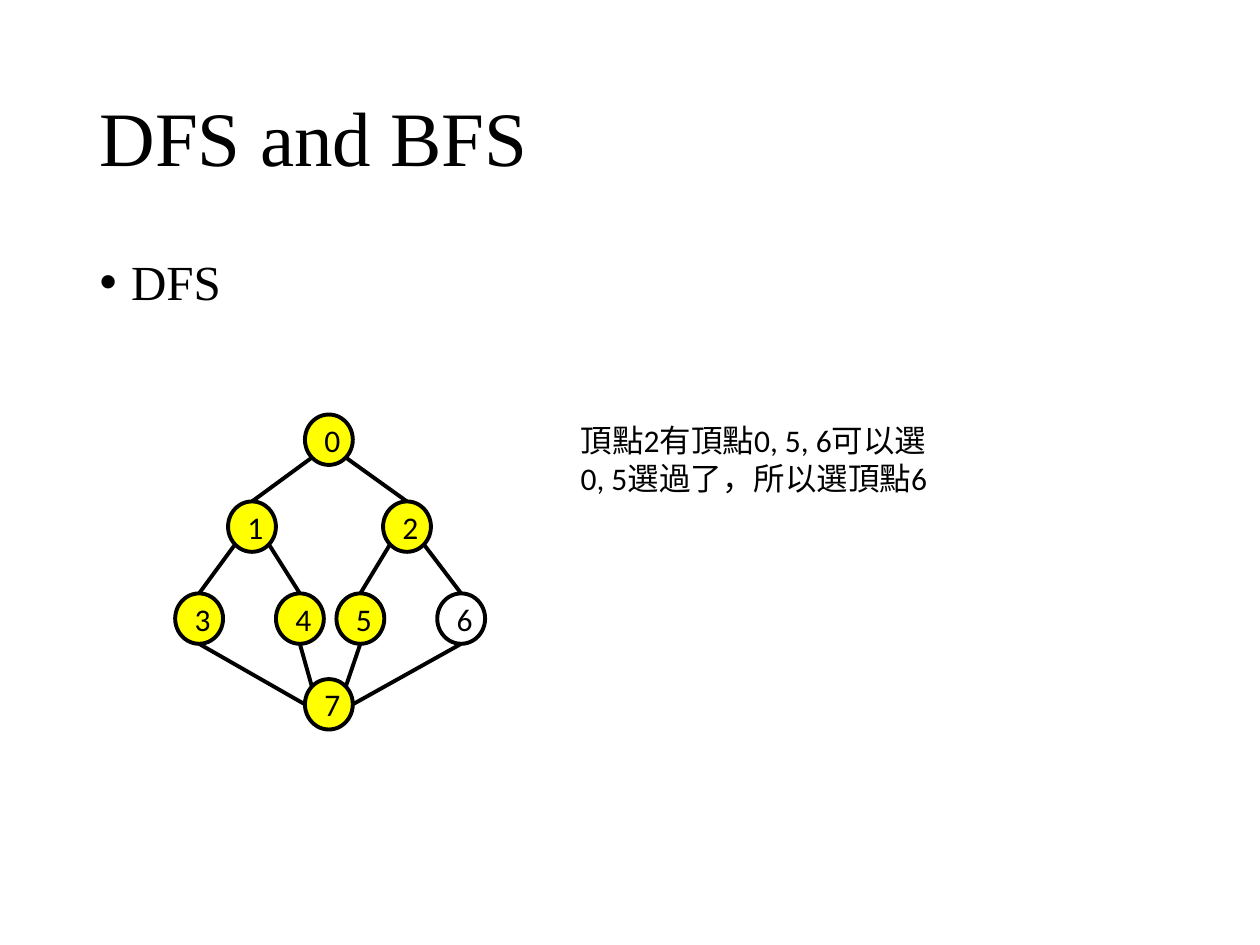
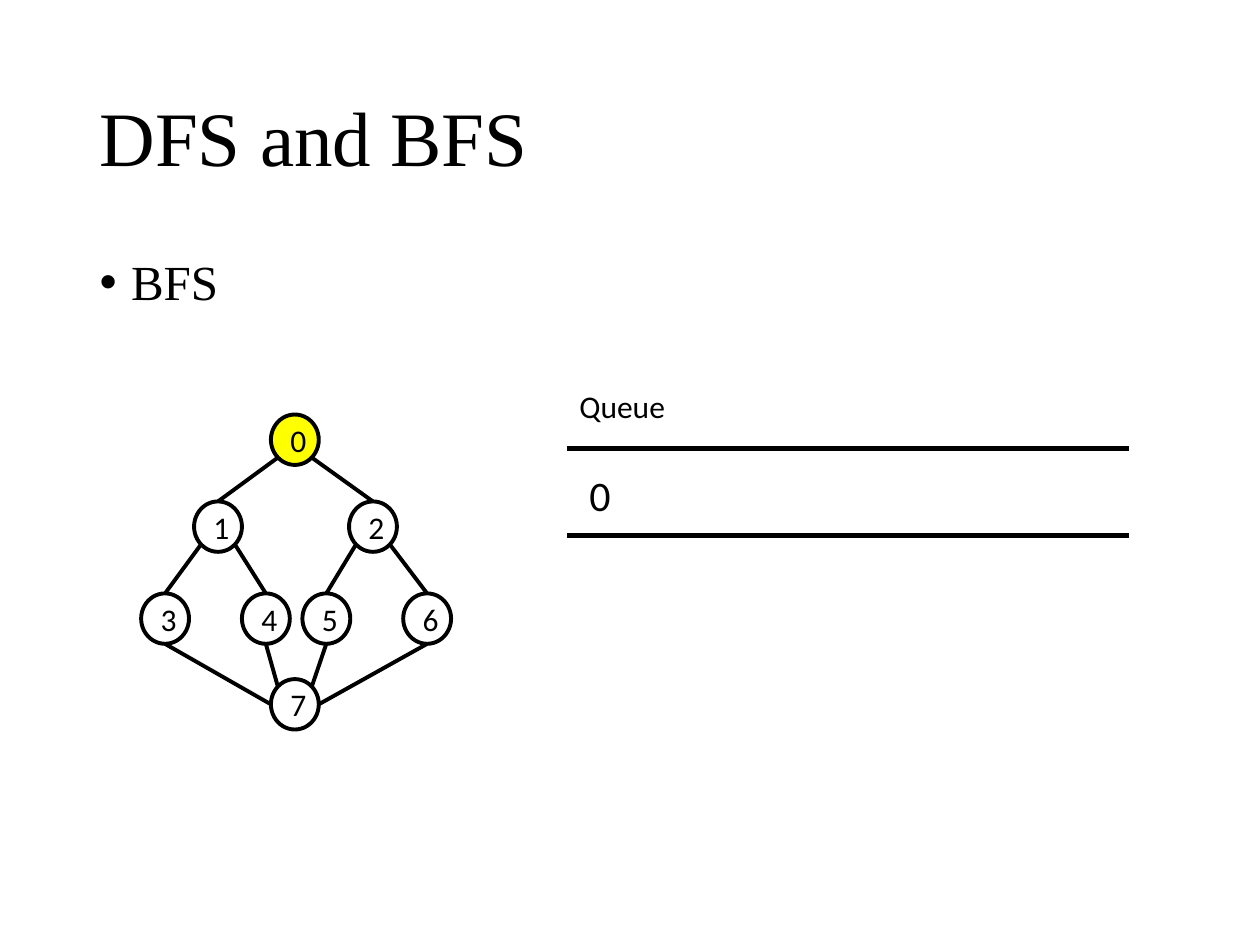
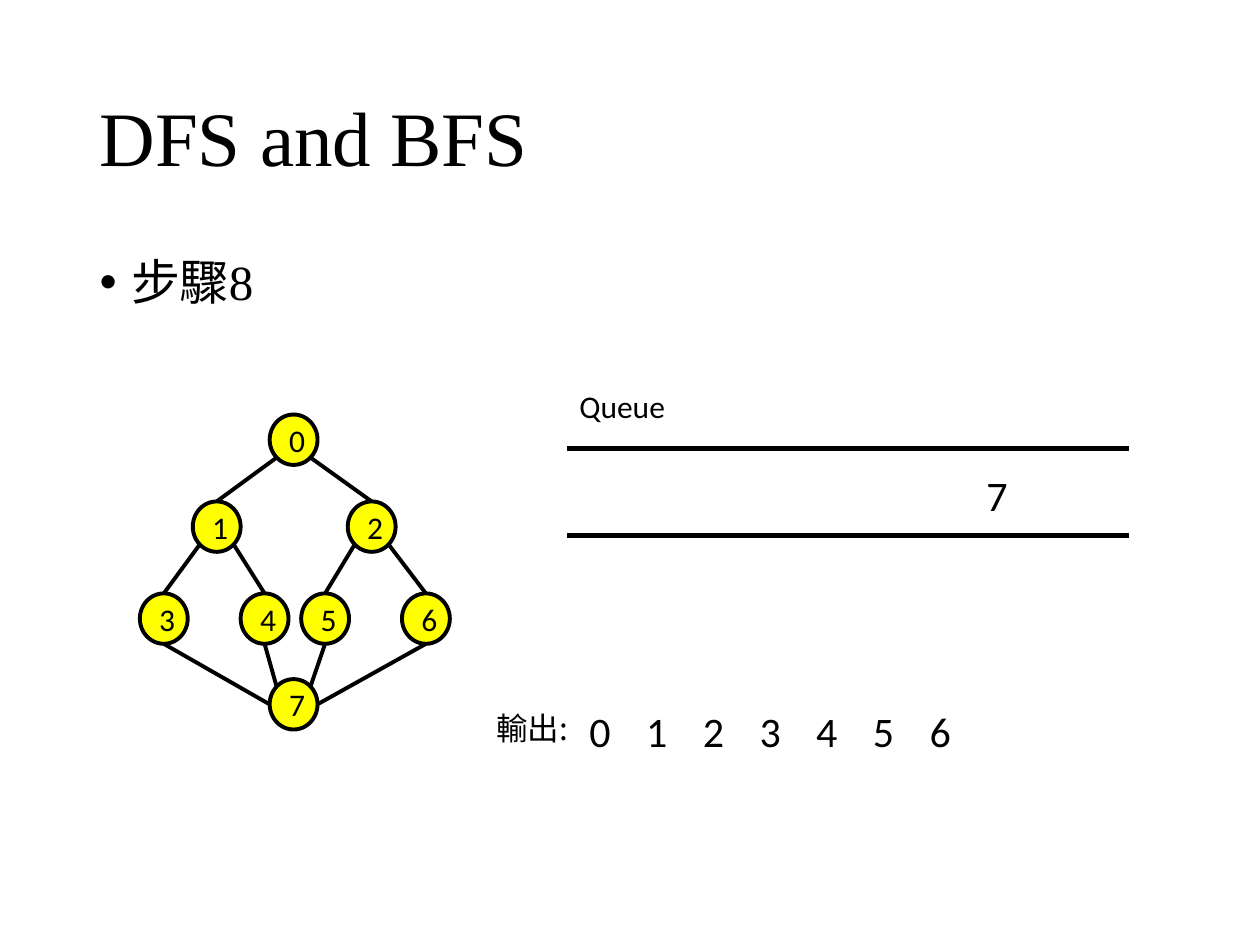
from lxml import etree
from pptx import Presentation
from pptx.dml.color import RGBColor
from pptx.enum.shapes import MSO_CONNECTOR, MSO_SHAPE
from pptx.enum.text import MSO_ANCHOR, MSO_AUTO_SIZE, PP_ALIGN
from pptx.oxml.ns import qn
from pptx.util import Inches, Pt

STRAIGHT = MSO_CONNECTOR.STRAIGHT
ELLIPSE = MSO_SHAPE.OVAL
LEFT, CENTER = PP_ALIGN.LEFT, PP_ALIGN.CENTER
TOP, MIDDLE = MSO_ANCHOR.TOP, MSO_ANCHOR.MIDDLE
NO_FIT, GROW = MSO_AUTO_SIZE.NONE, MSO_AUTO_SIZE.SHAPE_TO_FIT_TEXT

BLACK, VISITED = "000000", "FFFF00"
HEADING_FONT, LABEL_FONT, CJK_FONT = "Times New Roman", "Calibri", "Noto Sans CJK SC"

RADIUS_X, RADIUS_Y = 0.19, 0.2
DIAGONAL = 0.71
VERTICES = [(0, 3.49), (-0.61, 4.18), (0.62, 4.18), (-1.03, 4.91),
            (-0.23, 4.91), (0.25, 4.91), (1.05, 4.91), (0, 5.59)]
SITES = {"top": (0, -1), "bottom": (0, 1), "left": (-1, 0), "right": (1, 0),
         "top left": (-DIAGONAL, -DIAGONAL), "top right": (DIAGONAL, -DIAGONAL),
         "bottom left": (-DIAGONAL, DIAGONAL), "bottom right": (DIAGONAL, DIAGONAL)}
EDGES = [(0, "bottom left", 1, "top"), (0, "bottom right", 2, "top"),
         (1, "bottom left", 3, "top"), (1, "bottom right", 4, "top"),
         (2, "bottom left", 5, "top"), (2, "bottom right", 6, "top"),
         (3, "bottom", 7, "left"), (4, "bottom", 7, "top left"),
         (5, "bottom", 7, "top right"), (6, "bottom", 7, "right")]

SLOT_LEFT, SLOT_PITCH = 4.58, 0.45
QUEUE_TOP, OUTPUT_TOP = 3.68, 5.55


def color(hex_value):
    """Turn a hex string into a colour."""
    return RGBColor.from_string(hex_value)


def assign(target, values):
    """Set every attribute named in a dict of format values."""
    for key, value in values.items():
        setattr(target, key, value)


class Deck:
    """Hold the shared style and the current slide."""

    def __init__(self):
        """Start an empty 4:3 presentation."""
        self.presentation = Presentation()
        assign(self.presentation, {"slide_width": Inches(10), "slide_height": Inches(7.5)})
        self.slide = None

    def fill_text(self, frame, lines, size, font=LABEL_FONT, **paragraph_format):
        """Put formatted lines into a text frame."""
        frame.text = "\n".join(lines)
        for paragraph in frame.paragraphs:
            assign(paragraph, paragraph_format)
            for run in paragraph.runs:
                assign(run.font, {"size": Pt(size), "name": font})
                run.font.color.rgb = color(BLACK)
                east_asian = etree.SubElement(run.font._element, qn("a:ea"))
                east_asian.set("typeface", CJK_FONT)

    def placeholder(self, shape, box, text, size, anchor, **paragraph_format):
        """Place and format a template placeholder."""
        assign(shape, dict(zip(("left", "top", "width", "height"), map(Inches, box))))
        assign(shape.text_frame, {"vertical_anchor": anchor, "auto_size": NO_FIT})
        self.fill_text(shape.text_frame, [text], size, HEADING_FONT,
                       alignment=LEFT, line_spacing=0.9, **paragraph_format)

    def start(self, topic):
        """Add a slide with the shared title and one bullet."""
        self.slide = self.presentation.slides.add_slide(self.presentation.slide_layouts[1])
        title, body = self.slide.placeholders
        self.placeholder(title, (0.69, 0.4, 8.62, 1.45), "DFS and BFS", 44, MIDDLE)
        self.placeholder(body, (0.69, 2, 8.62, 4.76), topic, 28, TOP, space_before=Pt(10))
        bullet = body.text_frame.paragraphs[0]._p.get_or_add_pPr()
        bullet.set("marL", str(Inches(0.25)))
        bullet.set("indent", str(Inches(-0.25)))

    def line(self, shapes, start, end, width):
        """Draw a straight black line."""
        connector = shapes.add_connector(STRAIGHT, *map(Inches, (*start, *end)))
        connector.line.color.rgb = color(BLACK)
        connector.line.width = Pt(width)
        etree.SubElement(connector._element.spPr, qn("a:effectLst"))

    def vertex(self, shapes, center, label, visited):
        """Draw one numbered vertex, filled when visited."""
        x, y = center
        circle = shapes.add_shape(ELLIPSE, Inches(x - RADIUS_X), Inches(y - RADIUS_Y),
                                  Inches(2 * RADIUS_X), Inches(2 * RADIUS_Y))
        circle.shadow.inherit = False
        if visited:
            circle.fill.solid()
            circle.fill.fore_color.rgb = color(VISITED)
        else:
            circle.fill.background()
        circle.line.color.rgb = color(BLACK)
        circle.line.width = Pt(2.25)
        circle.text_frame.vertical_anchor = MIDDLE
        self.fill_text(circle.text_frame, [label], 18, alignment=CENTER)

    def graph(self, axis, visited):
        """Draw the graph around a vertical axis."""
        shapes = self.slide.shapes.add_group_shape().shapes
        centers = [(axis + offset, y) for offset, y in VERTICES]

        def site(number, side):
            """Find a connection site on the rim of a vertex."""
            (x, y), (dx, dy) = centers[number], SITES[side]
            return x + dx * RADIUS_X, y + dy * RADIUS_Y

        for upper, upper_side, lower, lower_side in EDGES:
            self.line(shapes, site(upper, upper_side), site(lower, lower_side), 2.25)
        for number, center in enumerate(centers):
            self.vertex(shapes, center, str(number), number in visited)

    def label(self, box, lines, size=18, font=LABEL_FONT, wrap=False):
        """Add a text box."""
        frame = self.slide.shapes.add_textbox(*map(Inches, box)).text_frame
        assign(frame, {"word_wrap": wrap, "auto_size": GROW})
        self.fill_text(frame, lines, size, font)

    def slots(self, numbers, top):
        """Put vertex numbers in their slots of a row."""
        for number in numbers:
            self.label((SLOT_LEFT + number * SLOT_PITCH, top, 0.37, 0.5), [str(number)], 24)

    def queue(self, numbers):
        """Draw the queue with its waiting vertices."""
        for y in (3.56, 4.25):
            self.line(self.slide.shapes, (4.5, y), (8.96, y), 3)
        self.label((4.5, 3.02, 0.89, 0.4), ["Queue"])
        self.slots(numbers, QUEUE_TOP)


def main():
    """Build the three slides."""
    deck = Deck()

    deck.start("DFS")
    deck.graph(2.61, {0, 1, 2, 3, 4, 5, 7})
    deck.label((4.51, 3.29, 3.27, 0.71),
               ["頂點2有頂點0, 5, 6可以選", "0, 5選過了，所以選頂點6"], wrap=True)

    deck.start("BFS")
    deck.graph(2.34, {0})
    deck.queue([0])

    deck.start("步驟8")
    deck.graph(2.33, set(range(8)))
    deck.queue([7])
    deck.label((3.84, 5.58, 0.83, 0.4), ["輸出:"], font=CJK_FONT)
    deck.slots(range(7), OUTPUT_TOP)

    deck.presentation.save("out.pptx")


if __name__ == "__main__":
    main()
